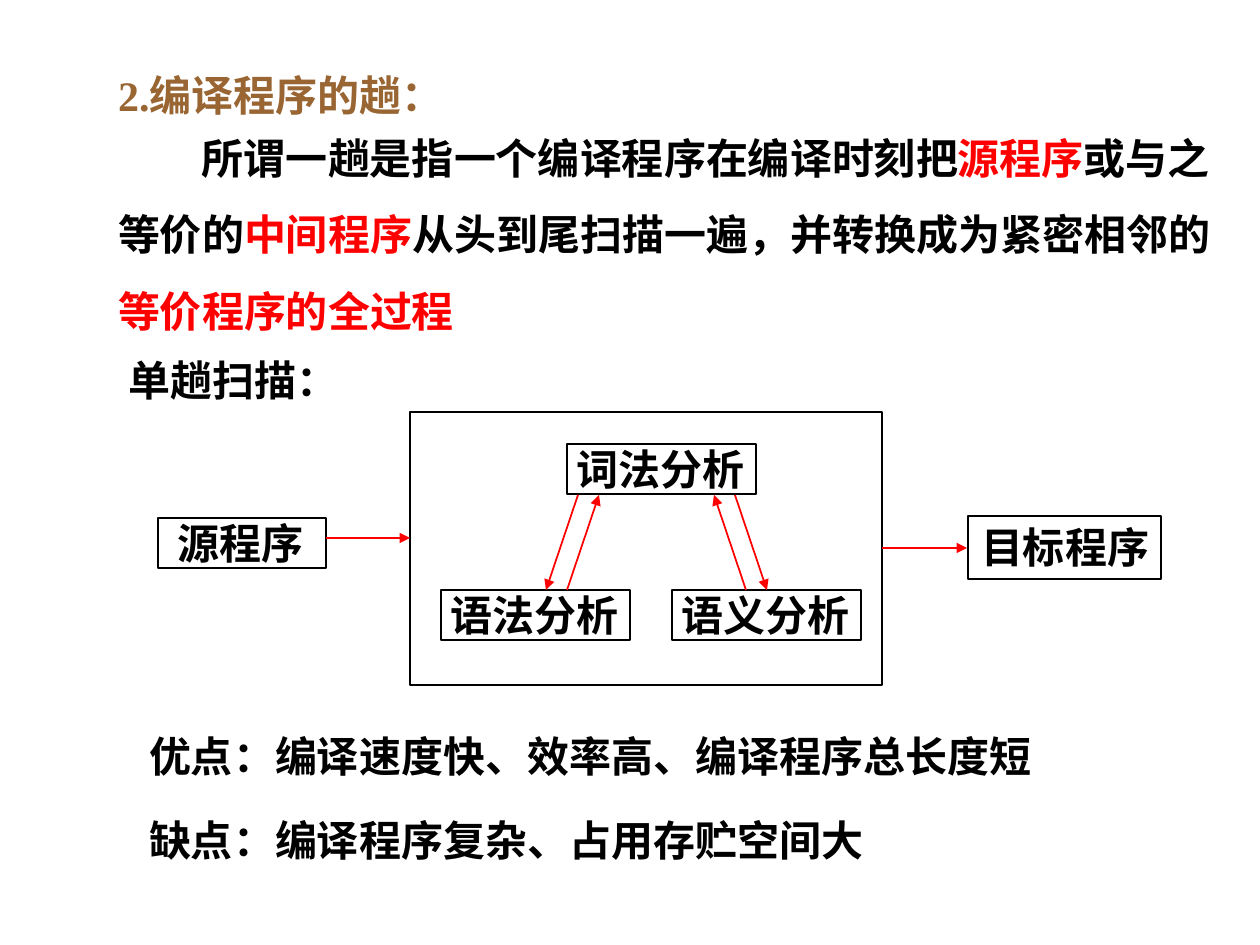
from lxml import etree
from pptx import Presentation
from pptx.dml.color import RGBColor
from pptx.enum.shapes import MSO_CONNECTOR, MSO_SHAPE
from pptx.enum.text import MSO_ANCHOR, MSO_AUTO_SIZE, PP_ALIGN
from pptx.oxml.ns import qn
from pptx.util import Pt

RECTANGLE = MSO_SHAPE.RECTANGLE
STRAIGHT = MSO_CONNECTOR.STRAIGHT
TOP = MSO_ANCHOR.TOP
NO_FIT = MSO_AUTO_SIZE.NONE
LEFT = PP_ALIGN.LEFT
PX = 914400 / 126
BLACK, RED, BROWN = "000000", "FF0000", "996633"
FONT = {"name": "Times New Roman", "size": Pt(24), "bold": True}


def px(*lengths):
    return [round(length * PX) for length in lengths]


def write(box, lines, margins=(13, 6), indent=0, wrap=True):
    frame = box.text_frame
    side, edge = px(*margins)
    settings = {"word_wrap": wrap, "auto_size": NO_FIT, "vertical_anchor": TOP,
                "margin_left": side, "margin_right": 0 if edge == 0 else side,
                "margin_top": edge, "margin_bottom": edge}
    for name, value in settings.items():
        setattr(frame, name, value)
    for number, line in enumerate(lines):
        para = frame.add_paragraph() if number else frame.paragraphs[0]
        properties = para._p.get_or_add_pPr()
        properties.set("marL", "0")
        properties.set("indent", str(0 if number else px(indent)[0]))
        etree.SubElement(properties, qn("a:buNone"))
        para.alignment = LEFT
        para.line_spacing = 1.0
        para.space_before = Pt(15 if number else 0)
        for text, color in line:
            span = para.add_run()
            span.text = text
            for name, value in FONT.items():
                setattr(span.font, name, value)
            span.font.color.rgb = RGBColor.from_string(color)


deck = Presentation()
deck.slide_width, deck.slide_height = px(1260, 945)
page = deck.slides.add_slide(deck.slide_layouts[1])

title = page.shapes.title
title.left, title.top, title.width, title.height = px(105, 63, 451, 63)
write(title, [[("2.编译程序的趟：", BROWN)]])

definition = page.placeholders[1]
definition.left, definition.top, definition.width, definition.height = px(105, 126, 1124, 217)
write(definition, [
    [("所谓一趟是指一个编译程序在编译时刻把", BLACK), ("源程序", RED), ("或与之", BLACK)],
    [("等价的", BLACK), ("中间程序", RED), ("从头到尾扫描一遍，并转换成为紧密相邻的", BLACK)],
    [("等价程序的全过程", RED)],
], indent=84)

for text, left, top, width in [
    ("单趟扫描：", 116, 349, 336),
    ("优点：编译速度快、效率高、编译程序总长度短", 136, 725, 989),
    ("缺点：编译程序复杂、占用存贮空间大", 136, 809, 861),
]:
    box = page.shapes.add_textbox(*px(left, top, width, 63))
    write(box, [[(text, BLACK)]])

for text, left, top, width, height, margins, wrap in [
    ("", 410, 412, 472, 273, (0, 0), True),
    ("源程序", 158, 518, 168, 50, (20, 0), True),
    ("目标程序", 968, 516, 193, 63, (13, 6), False),
    ("词法分析", 567, 444, 189, 50, (10, 0), True),
    ("语法分析", 441, 590, 189, 50, (10, 0), True),
    ("语义分析", 672, 590, 189, 50, (10, 0), True),
]:
    box = page.shapes.add_shape(RECTANGLE, *px(left, top, width, height))
    box.shadow.inherit = False
    box.fill.background()
    box.line.color.rgb = RGBColor.from_string(BLACK)
    box.line.width = Pt(0.75)
    if text:
        write(box, [[(text, BLACK)]], margins, wrap=wrap)

for start_x, start_y, end_x, end_y in [
    (326, 538, 410, 538),
    (882, 548, 967, 548),
    (567, 590, 599, 495),
    (578, 495, 546, 590),
    (735, 495, 767, 590),
    (746, 590, 714, 495),
]:
    arrow = page.shapes.add_connector(STRAIGHT, *px(start_x, start_y, end_x, end_y))
    arrow.line.color.rgb = RGBColor.from_string(RED)
    arrow.line.width = Pt(1)
    etree.SubElement(arrow.line._get_or_add_ln(), qn("a:tailEnd"), type="triangle")
    etree.SubElement(arrow._element.spPr, qn("a:effectLst"))

deck.save("out.pptx")
